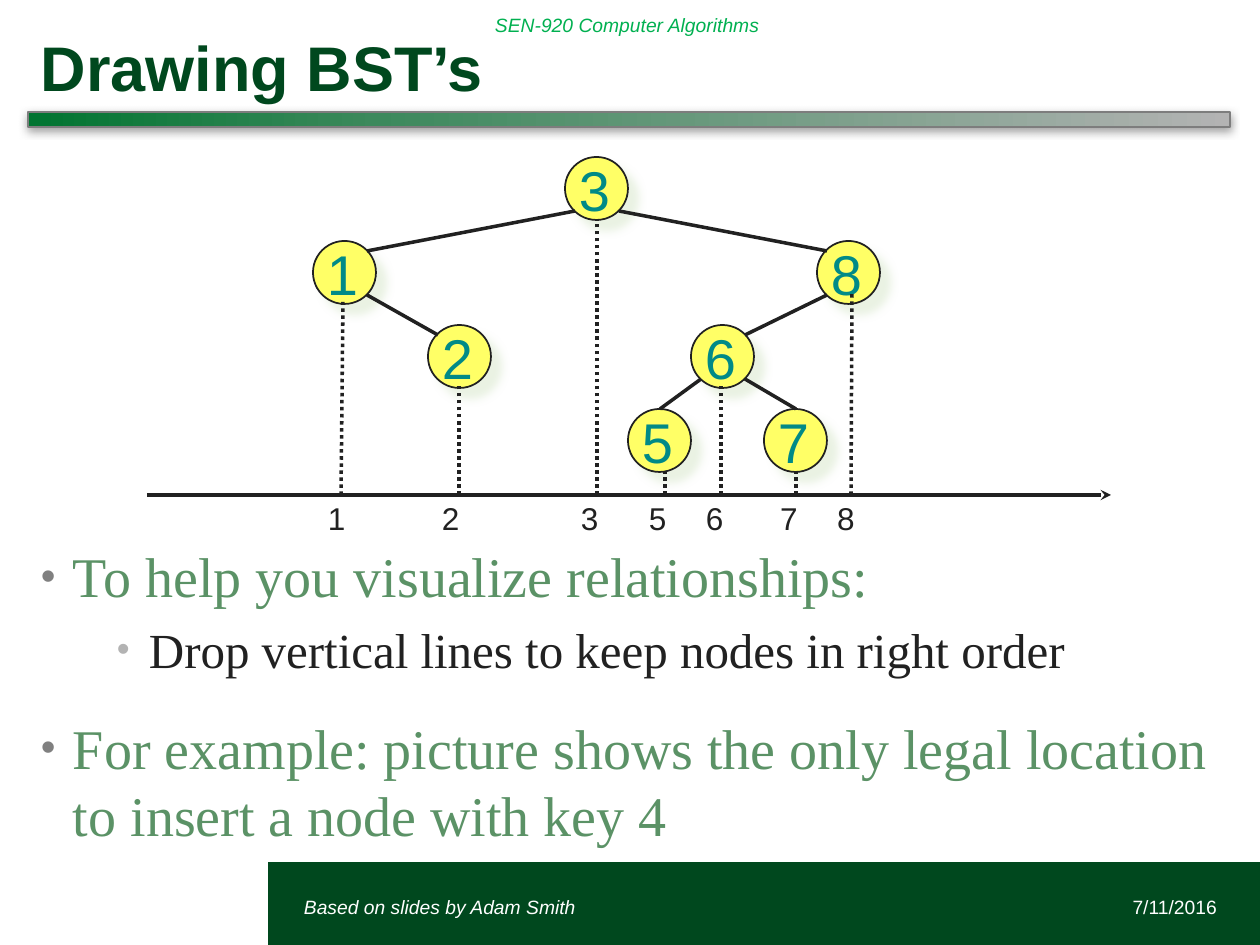
"""Builds a slide on drawing binary search trees."""
from lxml import etree
from copy import deepcopy
from pptx import Presentation
from pptx import util as u
from pptx.dml import color
from pptx.enum import dml, shapes, text
from pptx.oxml import ns

PX = 914400 / 126
HUES = {"dark": "00481E", "head": "00B050", "node": "FFFF66", "key": "008A87",
        "ink": "212121", "rim": "7D7D7D", "bar": "007430", "mid": "3C895C",
        "end": "B3B3B3", "glow": "E4EFDB", "gray": "808080", "main": "5B9266",
        "white": "FFFFFF"}
SANS, SERIF = "Arial", "Times New Roman"


def px(n):
    return u.Emu(round(n * PX))


def rgb(name):
    return color.RGBColor.from_string(HUES[name])


def sub(node, tag, **attrs):
    return etree.SubElement(node, ns.qn("a:" + tag), attrs)


def write(par, words, size=11, hue="ink", font=SANS, bold=False, italic=False, align="LEFT"):
    par.alignment = getattr(text.PP_ALIGN, align)
    run = par.add_run()
    run.text = words
    face = run.font
    face.name, face.size = font, u.Pt(size)
    face.bold, face.italic = bold, italic
    face.color.rgb = rgb(hue)


class Deck:
    def __init__(self):
        self.show = Presentation()
        self.show.slide_width, self.show.slide_height = px(1260), px(945)
        self.slide = self.show.slides.add_slide(self.show.slide_layouts[5])
        self.tree = self.slide.shapes

    def frame(self, shape, pads=(13, 6, 13, 6), anchor="TOP", wrap=True):
        body = shape.text_frame
        body.margin_left, body.margin_top, body.margin_right, body.margin_bottom = map(px, pads)
        body.vertical_anchor = getattr(text.MSO_ANCHOR, anchor)
        body.auto_size = text.MSO_AUTO_SIZE.NONE
        body.word_wrap = wrap
        return body

    def title(self, words, box):
        shape = self.tree.title
        shape.left, shape.top, shape.width, shape.height = map(px, box)
        body = self.frame(shape, (13, 6, 18, 6), "MIDDLE")
        write(body.paragraphs[0], words, size=36, hue="dark", bold=True)

    def label(self, words, box, pads=(13, 6, 13, 6), anchor="MIDDLE", wrap=True, **style):
        body = self.frame(self.tree.add_textbox(*map(px, box)), pads, anchor, wrap)
        write(body.paragraphs[0], words, **style)

    def shape(self, kind, box, fill, rim=None, shade=None):
        item = self.tree.add_shape(getattr(shapes.MSO_SHAPE, kind), *map(px, box))
        item.fill.solid()
        item.fill.fore_color.rgb = rgb(fill)
        if rim:
            item.line.color.rgb = rgb(rim)
            item.line.width = u.Pt(1)
        else:
            item.line.fill.background()
        item.shadow.inherit = False
        if shade:
            hue, dist, angle = shade
            glow = sub(item._element.spPr.find(ns.qn("a:effectLst")), "outerShdw",
                       blurRad=str(u.Pt(5)), dist=str(u.Pt(dist)),
                       dir=str(angle * 60000), algn="tl", rotWithShape="0")
            sub(sub(glow, "srgbClr", val=HUES[hue]), "alpha", val="75000")
        return item

    def blend(self, item, hues, spots):
        item.fill.gradient()
        item.fill.gradient_angle = 0
        stops = item._element.spPr.find(ns.qn("a:gradFill")).find(ns.qn("a:gsLst"))
        stops.insert(1, deepcopy(stops[0]))
        for stop, hue, spot in zip(item.fill.gradient_stops, hues, spots):
            stop.color.rgb = rgb(hue)
            stop.position = spot

    def node(self, key, x, y):
        disc = self.shape("OVAL", (x - 32, y - 32, 63, 63), "node", "ink", ("glow", 8, 45))
        body = self.frame(disc, (6, 6, 10, 4), "MIDDLE", False)
        write(body.paragraphs[0], key, size=32, hue="key", align="CENTER")

    def line(self, x, y, to_x, to_y, dots=False, arrow=False):
        link = self.tree.add_connector(shapes.MSO_CONNECTOR.STRAIGHT, *map(px, (x, y, to_x, to_y)))
        link.line.color.rgb = rgb("ink")
        link.line.width = u.Pt(2)
        if dots:
            link.line.dash_style = dml.MSO_LINE.ROUND_DOT
        if arrow:
            sub(link._element.spPr.find(ns.qn("a:ln")), "tailEnd", type="stealth")
        sub(link._element.spPr, "effectLst")

    def points(self, box, rows):
        body = self.frame(self.tree.add_textbox(*map(px, box)), (13, 6, 18, 6))
        for i, (words, size, hue, dot, left, gap) in enumerate(rows):
            par = body.add_paragraph() if i else body.paragraphs[0]
            write(par, words, size=size, hue=hue, font=SERIF)
            par.space_before = u.Pt(gap)
            props = par._p.get_or_add_pPr()
            props.set("marL", str(px(left)))
            props.set("indent", str(px(-32)))
            sub(sub(props, "buClr"), "srgbClr", val=HUES[dot])
            sub(props, "buSzPct", val="75000")
            sub(props, "buFont", typeface=SANS)
            sub(props, "buChar", char="•")


def main():
    deck = Deck()
    deck.shape("RECTANGLE", (268, 862, 992, 84), "dark")
    deck.label("SEN-920 Computer Algorithms", (482, 0, 581, 50), hue="head", italic=True)
    bar = deck.shape("RECTANGLE", (28, 112, 1202, 15), "bar", "rim", ("gray", 2, 90))
    deck.blend(bar, ("bar", "mid", "end"), (0, 0.29, 1))
    deck.title("Drawing BST’s", (28, 20, 1202, 92))
    deck.points((28, 536, 1202, 316), [
        ("To help you visualize relationships:", 32, "main", "gray", 32, 0),
        ("Drop vertical lines to keep nodes in right order", 28, "ink", "end", 108, 6),
        ("For example: picture shows the only legal location to insert a node with key 4",
         32, "main", "gray", 32, 20)])

    spots = {"3": (597, 189), "8": (849, 273), "1": (345, 273), "2": (460, 357),
             "6": (723, 357), "5": (660, 441), "7": (796, 441)}
    for key, (x, y) in spots.items():
        deck.node(key, x, y)
    for top, low in ("38", "31", "12", "86", "65", "67"):
        (x, y), (to_x, to_y) = spots[top], spots[low]
        side = 22 if to_x > x else -22
        if low in "57":
            deck.line(x + side, y + 22, to_x, to_y - 32)
        else:
            deck.line(x + side, y + 22, to_x - side, to_y - 22)

    axis = 495
    deck.line(147, axis, 1111, axis, arrow=True)
    drops = {"1": (343, 302, 341, 323), "2": (459, 386, 459, 437), "3": (597, 220, 597, 576),
             "5": (665, 472, 665, 644), "6": (721, 386, 721, 701), "7": (796, 472, 796, 775),
             "8": (852, 291, 851, 832)}
    for key, (x, y, foot, left) in drops.items():
        deck.line(foot, axis, x, y, dots=True)
        deck.label(key, (left, 499, 43, 59), (5, 0, 5, 0), "TOP", False, size=18)

    deck.label("7/11/2016", (936, 882, 294, 50), hue="white", align="RIGHT")
    deck.label("Based on slides by Adam Smith", (291, 882, 581, 50), hue="white", italic=True)
    deck.show.save("out.pptx")


if __name__ == "__main__":
    main()
